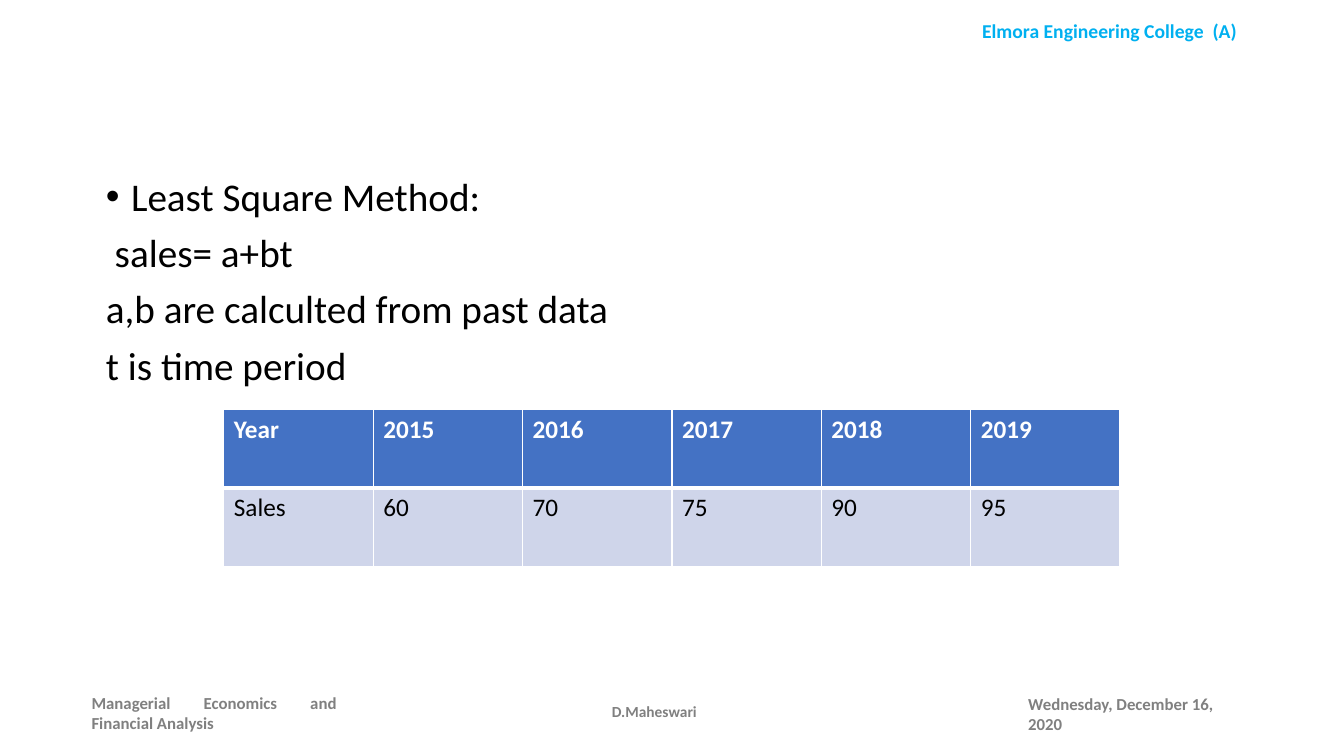
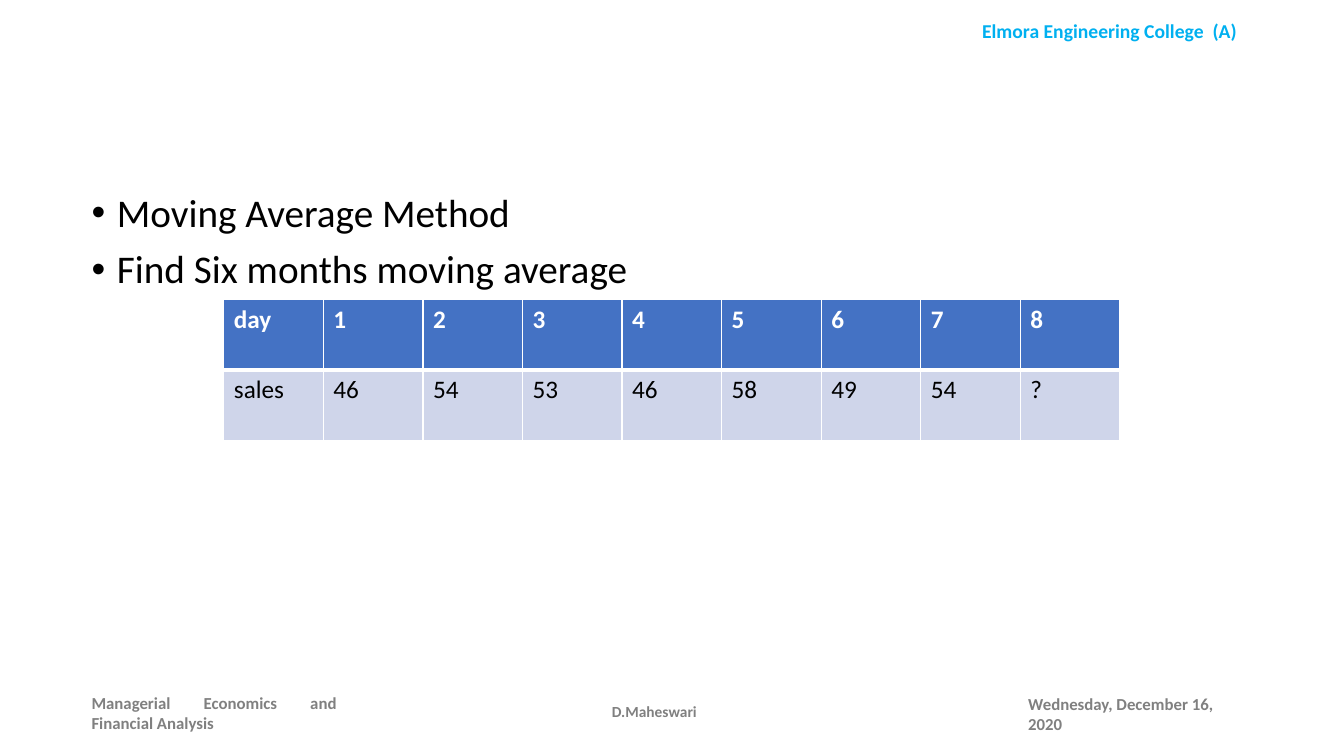
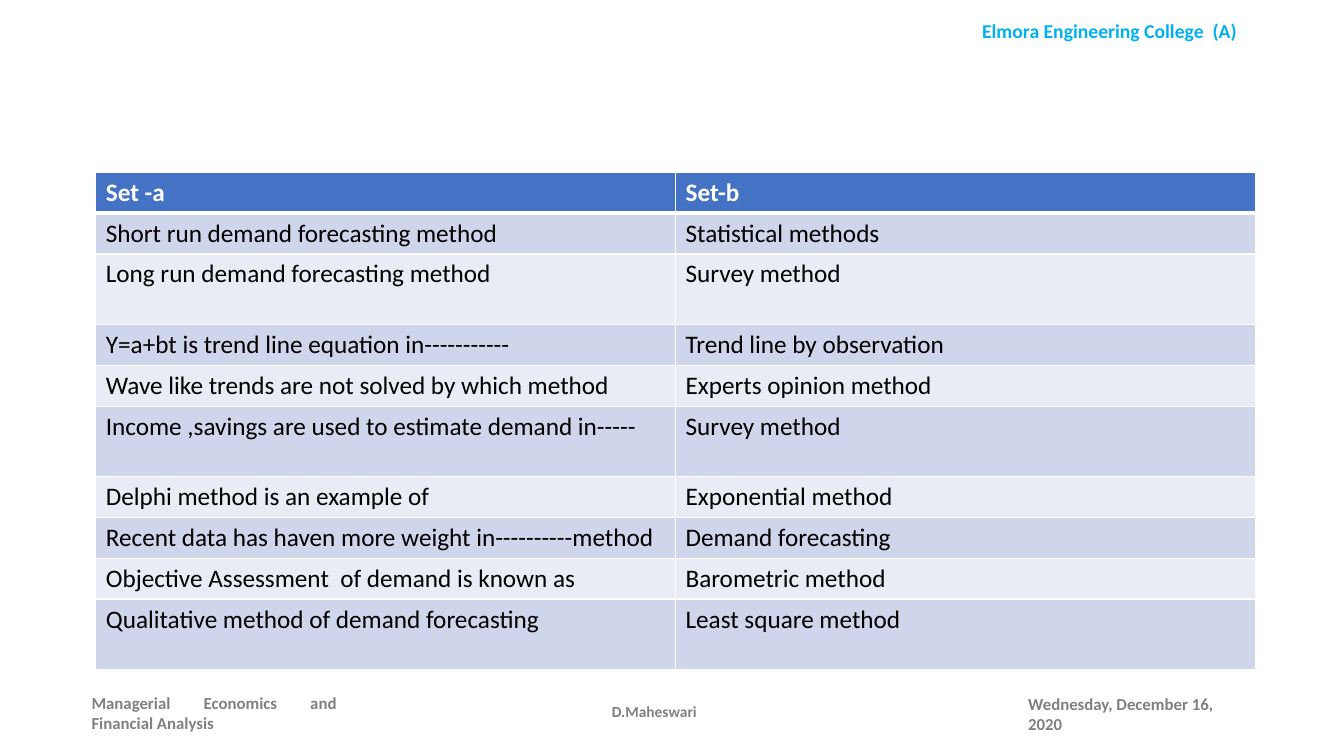
from lxml import etree
from pptx import Presentation
from pptx.dml.color import RGBColor
from pptx.enum import text
from pptx.oxml import ns
from pptx.util import Inches, Pt

BLACK = RGBColor(0x00, 0x00, 0x00)
WHITE = RGBColor(0xFF, 0xFF, 0xFF)
GREY = RGBColor(0x80, 0x80, 0x80)
CYAN = RGBColor(0x00, 0xB0, 0xF0)
BLUE = RGBColor(0x44, 0x72, 0xC4)
BANDS = (RGBColor(0xCF, 0xD5, 0xEA), RGBColor(0xE9, 0xEB, 0xF5))

FONT = "Calibri"
ALIGN = text.PP_ALIGN
ANCHOR = text.MSO_ANCHOR
HEAD_LINE, CELL_LINE = 3, 1

FRAME = [
    ("Managerial Economics and Financial Analysis", (0.81, 6.87, 2.63, 0.4),
     12, GREY, ALIGN.JUSTIFY, ANCHOR.MIDDLE),
    ("Elmora Engineering College  (A)", (9.09, 0.14, 3.83, 0.34),
     14, CYAN, ALIGN.CENTER, ANCHOR.TOP),
    ("Wednesday, December 16, 2020", (10.1, 6.88, 2.3, 0.4),
     12, GREY, ALIGN.LEFT, ANCHOR.MIDDLE),
    ("D.Maheswari", (4.99, 6.86, 3, 0.4),
     11, GREY, ALIGN.CENTER, ANCHOR.MIDDLE),
]

SHORT, TALL = 0.405, 0.7

SLIDES = [
    {
        "body_at": (0.95, 1.71, 11.5, 4.96),
        "body": [
            ("Least Square Method:", True),
            (" sales= a+bt", False),
            ("a,b are calculted from past data", False),
            ("t is time period", False),
        ],
        "table_at": (2.22, 4.06, 8.89),
        "heights": [0.78, 0.78],
        "rows": [
            ("Year", "2015", "2016", "2017", "2018", "2019"),
            ("Sales", "60", "70", "75", "90", "95"),
        ],
    },
    {
        "body_at": (0.81, 1.87, 11.5, 4.96),
        "body": [
            ("Moving Average Method", True),
            ("Find Six months moving average", True),
        ],
        "table_at": (2.22, 2.97, 8.89),
        "heights": [TALL, TALL],
        "rows": [
            ("day", "1", "2", "3", "4", "5", "6", "7", "8"),
            ("sales", "46", "54", "53", "46", "58", "49", "54", "?"),
        ],
    },
    {
        "table_at": (0.95, 1.71, 11.5),
        "heights": [SHORT, SHORT, TALL, SHORT, SHORT,
                    TALL, SHORT, SHORT, SHORT, TALL],
        "rows": [
            ("Set -a", "Set-b"),
            ("Short run demand forecasting method", "Statistical methods"),
            ("Long run demand forecasting method", "Survey method"),
            ("Y=a+bt is trend line equation in-----------",
             "Trend line by observation"),
            ("Wave like trends are not solved by which method",
             "Experts opinion method"),
            ("Income ,savings are used to estimate demand in-----",
             "Survey method"),
            ("Delphi method is an example of", "Exponential method"),
            ("Recent data has haven more weight in----------method",
             "Demand forecasting"),
            ("Objective Assessment  of demand is known as",
             "Barometric method"),
            ("Qualitative method of demand forecasting",
             "Least square method"),
        ],
    },
]


def write(p, words, size, color, bold=False):
    r = p.add_run()
    r.text = words
    for name, value in {"name": FONT, "size": Pt(size), "bold": bold}.items():
        setattr(r.font, name, value)
    r.font.color.rgb = color


def add_frame(s):
    for words, at, size, color, align, anchor in FRAME:
        tf = s.shapes.add_textbox(*map(Inches, at)).text_frame
        tf.word_wrap = True
        tf.vertical_anchor = anchor
        p = tf.paragraphs[0]
        p.alignment = align
        write(p, words, size, color, True)


def set_bullet(p, shown):
    pPr = p._p.get_or_add_pPr()
    pPr.set("marL", str(Inches(0.25)))
    pPr.set("indent", str(-Inches(0.25)))
    if shown:
        etree.SubElement(pPr, ns.qn("a:buFont")).set("typeface", "Arial")
        etree.SubElement(pPr, ns.qn("a:buChar")).set("char", "•")
    else:
        etree.SubElement(pPr, ns.qn("a:buNone"))


def fill_body(sp, at, lines):
    sp.left, sp.top, sp.width, sp.height = map(Inches, at)
    tf = sp.text_frame
    tf.auto_size = text.MSO_AUTO_SIZE.NONE
    tf.vertical_anchor = ANCHOR.TOP
    for i, (words, bulleted) in enumerate(lines):
        p = tf.add_paragraph() if i else tf.paragraphs[0]
        p.line_spacing, p.space_before = 0.9, Pt(10)
        set_bullet(p, bulleted)
        write(p, words, 28, BLACK)


def set_borders(cell, top, bottom):
    tcPr = cell._tc.get_or_add_tcPr()
    widths = {"lnL": CELL_LINE, "lnR": CELL_LINE, "lnT": top, "lnB": bottom}
    for side, width in widths.items():
        ln = etree.SubElement(tcPr, ns.qn("a:" + side), w=str(Pt(width)))
        fill = etree.SubElement(ln, ns.qn("a:solidFill"))
        etree.SubElement(fill, ns.qn("a:srgbClr"), val=str(WHITE))


def add_grid(s, at, heights, rows):
    left, top, width = at
    n = len(rows[0])
    table = s.shapes.add_table(len(rows), n, Inches(left), Inches(top),
                               Inches(width), Inches(sum(heights))).table
    for column in table.columns:
        column.width = Inches(width / n)
    for i, (height, row) in enumerate(zip(heights, rows)):
        table.rows[i].height = Inches(height)
        head = i == 0
        for j, words in enumerate(row):
            cell = table.cell(i, j)
            set_borders(cell, HEAD_LINE if i == 1 else CELL_LINE,
                        HEAD_LINE if head else CELL_LINE)
            cell.fill.solid()
            cell.fill.fore_color.rgb = BLUE if head else BANDS[(i - 1) % 2]
            write(cell.text_frame.paragraphs[0], words, 18,
                  WHITE if head else BLACK, head)


def main():
    prs = Presentation()
    prs.slide_width, prs.slide_height = Inches(13.33), Inches(7.5)
    content, blank = prs.slide_layouts[1], prs.slide_layouts[6]
    for item in SLIDES:
        s = prs.slides.add_slide(content if "body" in item else blank)
        if "body" in item:
            title = s.shapes.title._element
            title.getparent().remove(title)
            fill_body(s.placeholders[1], item["body_at"], item["body"])
        add_frame(s)
        add_grid(s, item["table_at"], item["heights"], item["rows"])
    prs.save("out.pptx")


if __name__ == "__main__":
    main()
